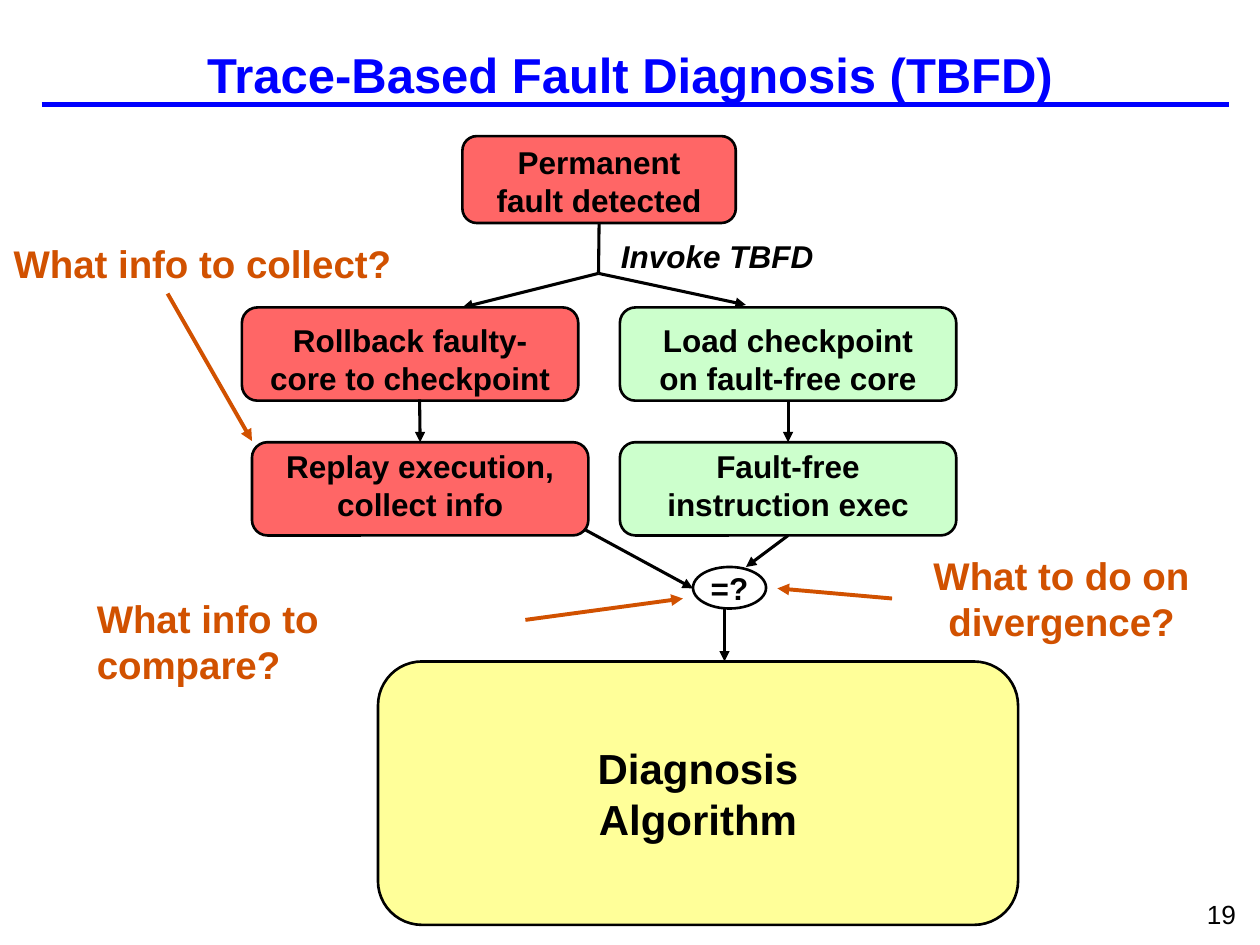
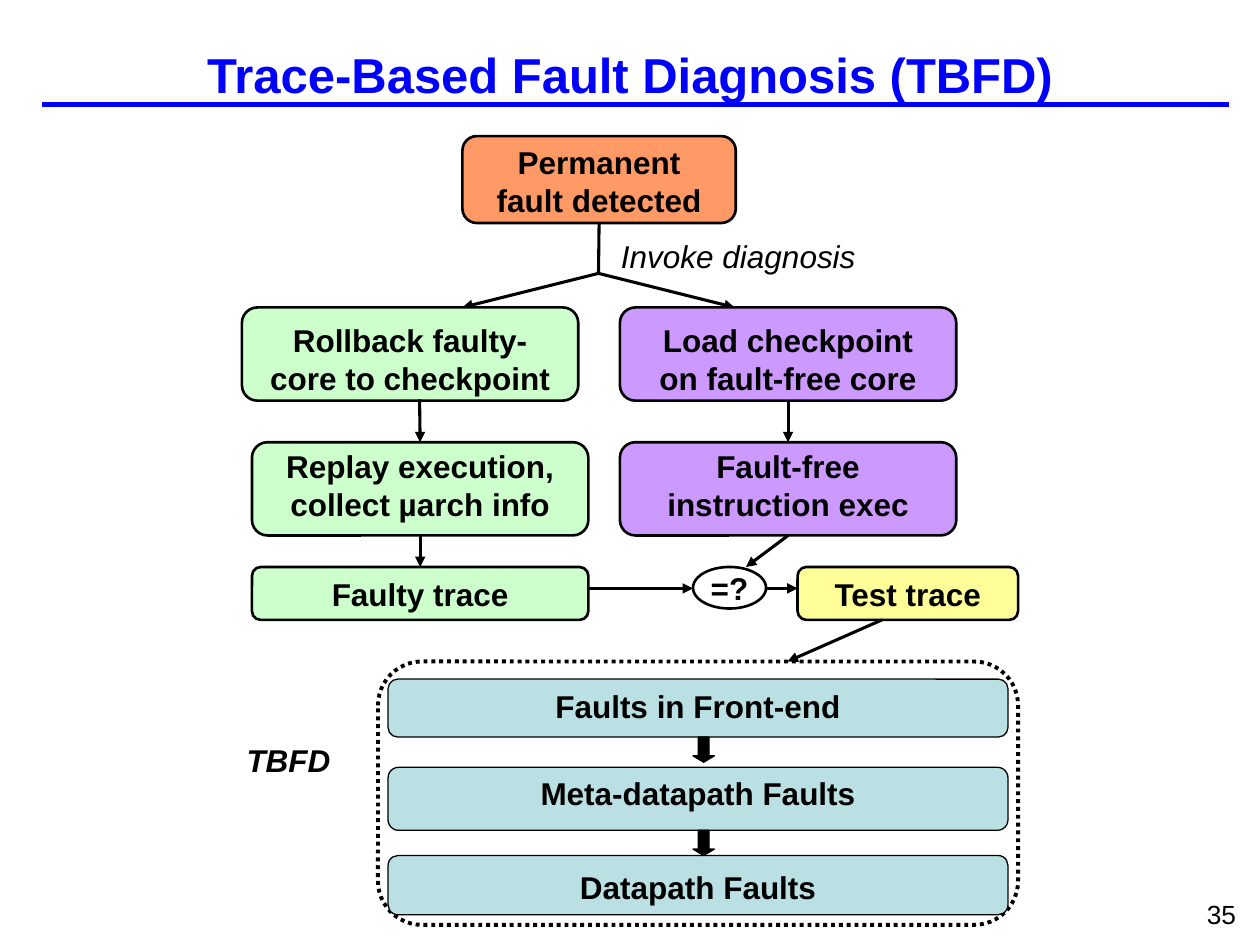
from dataclasses import dataclass

import pptx
import pptx.dml.color
import pptx.enum.dml
import pptx.enum.shapes
import pptx.enum.text
import pptx.oxml
import pptx.oxml.ns
import pptx.util
from pptx.util import Inches

SHAPE = pptx.enum.shapes.MSO_SHAPE
ALIGN = pptx.enum.text.PP_ALIGN
ANCHOR = pptx.enum.text.MSO_ANCHOR
BOTTOM, TOP = 2, 0  # connection sites of a rectangle


@dataclass(frozen=True)
class Theme:
    font: str = "Arial"
    blue: str = "0000FF"
    black: str = "000000"
    rust: str = "D15100"
    red: str = "FF6666"
    orange: str = "FF9966"
    green: str = "CCFFCC"
    purple: str = "CC99FF"
    yellow: str = "FFFF99"
    teal: str = "BBE0E3"
    title_size: float = 28
    result_size: float = 24
    question_size: float = 22
    label_size: float = 18
    number_size: float = 15
    rule_width: float = 3
    question_width: float = 2.25
    arrow_width: float = 1.75
    box_width: float = 1.5
    thin_width: float = 0.75


THEME = Theme()


# Formatting helpers

def color(code):
    return pptx.dml.color.RGBColor.from_string(code)


def format_text(frame, size, code=THEME.black, bold=True, italic=False, align=ALIGN.CENTER):
    for para in frame.paragraphs:
        para.alignment = align
        for span in para.runs:
            font = span.font
            font.name, font.size = THEME.font, pptx.util.Pt(size)
            font.bold, font.italic = bold, italic
            font.color.rgb = color(code)


def set_margins(frame, side, top, bottom):
    frame.margin_left = frame.margin_right = Inches(side)
    frame.margin_top, frame.margin_bottom = Inches(top), Inches(bottom)


def set_line(line, width, code=THEME.black):
    line.color.rgb = color(code)
    line.width = pptx.util.Pt(width)


# Kinds of element

def outline(page, kind, at, fill=None, width=THEME.box_width):
    shape = page.shapes.add_shape(kind, *map(Inches, at))
    shape.shadow.inherit = False
    if fill:
        shape.fill.solid()
        shape.fill.fore_color.rgb = color(fill)
    else:
        shape.fill.background()
    set_line(shape.line, width)
    return shape


def box(page, at, text, fill, text_top=0.0, width=THEME.box_width):
    """Rounded box whose wrapped label starts text_top below its upper edge."""
    shape = outline(page, SHAPE.ROUNDED_RECTANGLE, at, fill, width)
    frame = shape.text_frame
    frame.text = text
    frame.word_wrap = True
    frame.vertical_anchor = ANCHOR.TOP
    set_margins(frame, 0.15, text_top, 0)
    format_text(frame, THEME.label_size)
    return shape


def centred_shape(page, kind, at, text, fill=None, size=THEME.label_size):
    shape = outline(page, kind, at, fill)
    frame = shape.text_frame
    frame.text = text
    frame.word_wrap = False
    frame.vertical_anchor = ANCHOR.MIDDLE
    set_margins(frame, 0.1, 0.05, 0.05)
    format_text(frame, size)
    return shape


def label(page, at, text, size=THEME.label_size, wrap=True, **style):
    frame = page.shapes.add_textbox(*map(Inches, at)).text_frame
    frame.text = text
    frame.word_wrap = wrap
    format_text(frame, size, **style)


def link(page, start, end, width=THEME.arrow_width, code=THEME.black, arrow=True):
    """Line between points; a shape as start or end is joined at its bottom or top."""
    straight = pptx.enum.shapes.MSO_CONNECTOR.STRAIGHT
    ends = [(0, 0) if hasattr(end_part, "shape_id") else end_part for end_part in (start, end)]
    line = page.shapes.add_connector(straight, *(Inches(value) for point in ends for value in point))
    if hasattr(start, "shape_id"):
        line.begin_connect(start, BOTTOM)
    if hasattr(end, "shape_id"):
        line.end_connect(end, TOP)
    set_line(line.line, width, code)
    properties = line._element.spPr
    if arrow:
        head = pptx.oxml.parse_xml(f'<a:tailEnd {pptx.oxml.ns.nsdecls("a")} type="triangle"/>')
        line.line._get_or_add_ln().append(head)
    properties.append(pptx.oxml.parse_xml(f'<a:effectLst {pptx.oxml.ns.nsdecls("a")}/>'))


def question(page, at, text, start, end, align=ALIGN.LEFT):
    label(page, at, text, THEME.question_size, wrap=False, code=THEME.rust, align=align)
    link(page, start, end, THEME.question_width, THEME.rust)


# Parts shared by the slides

def add_page(deck, number):
    page = deck.slides.add_slide(deck.slide_layouts[5])
    link(page, (0.33, 0.83), (9.75, 0.83), THEME.rule_width, THEME.blue, arrow=False)
    label(page, (9.48, 7.08, 0.52, 0.35), number, THEME.number_size, bold=False, align=ALIGN.LEFT)
    title = page.shapes.title
    title.left, title.top, title.width, title.height = map(Inches, (0, 0.17, 10, 0.83))
    frame = title.text_frame
    frame.text = "Trace-Based Fault Diagnosis (TBFD)"
    frame.vertical_anchor = ANCHOR.MIDDLE
    set_margins(frame, 0.1, 0.05, 0.05)
    format_text(frame, THEME.title_size, THEME.blue)
    return page


def add_flow(page, start_fill, faulty_fill, good_fill, replay_text, call, call_bold, fork_end):
    """Detection, fork into faulty and fault-free cores, and comparison."""
    upper, lower, width, height = 2.44, 3.51, 2.67, 0.74
    faulty_left, good_left = 2, 4.92
    fork = (4.75, 2.17)

    detected = box(page, (3.67, 1.08, 2.17, 0.69), "Permanent fault detected", start_fill, 0.02)
    link(page, detected, fork, arrow=False)
    link(page, fork, (3.67, upper))
    link(page, fork, fork_end)
    label(page, (4.83, 1.83, 2.25, 0.4), call, bold=call_bold, italic=True, align=ALIGN.LEFT)

    box(page, (1.92, upper, width, height), "Rollback faulty-core to checkpoint", faulty_fill, 0.07)
    replay = box(page, (faulty_left, lower, width, height), replay_text, faulty_fill)
    link(page, (3.33, 3.17), replay)

    load = box(page, (good_left, upper, width, height), "Load checkpoint on fault-free core",
               good_fill, 0.07)
    execute = box(page, (good_left, lower, width, height), "Fault-free instruction exec", good_fill)
    link(page, load, execute)

    centred_shape(page, SHAPE.OVAL, (5.5, 4.5, 0.58, 0.33), "=?")
    link(page, execute, (5.92, 4.5))
    return replay


# Slides

DIAGNOSIS_AREA = (3, 5.25, 5.08, 2.09)


def add_questions_page(deck):
    page = add_page(deck, "19")
    link(page, (4.58, 4.17), (5.5, 4.67))
    add_flow(page, THEME.red, THEME.red, THEME.green, "Replay execution, collect info",
             "Invoke TBFD", True, (5.92, 2.42))

    centred_shape(page, SHAPE.ROUNDED_RECTANGLE, DIAGNOSIS_AREA, "Diagnosis\nAlgorithm",
                  THEME.yellow, THEME.result_size)
    link(page, (5.75, 4.83), (5.75, 5.25))

    question(page, (0.01, 1.86, 3.2, 0.47), "What info to collect?", (1.33, 2.33), (2, 3.5))
    question(page, (0.67, 4.67, 3.5, 0.47), "What info to compare?", (4.17, 4.92), (5.42, 4.75))
    question(page, (7.27, 4.33, 2.31, 0.84), "What to do on\ndivergence?",
             (7.08, 4.75), (6.17, 4.67), ALIGN.CENTER)


def add_stages_page(deck):
    page = add_page(deck, "35")
    replay = add_flow(page, THEME.orange, THEME.green, THEME.purple,
                      "Replay execution, collect µarch info", "Invoke diagnosis", False,
                      (5.83, 2.44))

    # Traces on both sides of the comparison
    faulty = centred_shape(page, SHAPE.ROUNDED_RECTANGLE, (2, 4.5, 2.67, 0.42),
                           "Faulty trace", THEME.green)
    centred_shape(page, SHAPE.ROUNDED_RECTANGLE, (6.33, 4.5, 1.75, 0.42),
                  "Test trace", THEME.yellow)
    link(page, replay, faulty)
    link(page, (4.67, 4.67), (5.5, 4.67))
    link(page, (6.08, 4.67), (6.33, 4.67))
    link(page, (7, 4.92), (6.25, 5.25))

    # Diagnosis stages in a dotted frame
    frame = outline(page, SHAPE.ROUNDED_RECTANGLE, DIAGNOSIS_AREA, width=2.25)
    frame.line.dash_style = pptx.enum.dml.MSO_LINE.ROUND_DOT
    label(page, (1.25, 5.83, 2.08, 0.4), "TBFD", italic=True)
    stages = [
        ("Faults in Front-end", 5.39, 0.46, 0.04),
        ("Meta-datapath Faults", 6.09, 0.5, 0.03),
        ("Datapath Faults", 6.79, 0.47, 0.08),
    ]
    for text, top, height, text_top in stages:
        box(page, (3.08, top, 4.92, height), text, THEME.teal, text_top, THEME.thin_width)
    for _, top, height, _ in stages[:-1]:
        arrow = outline(page, SHAPE.DOWN_ARROW, (5.5, top + height, 0.17, 0.2),
                        THEME.black, THEME.thin_width)
        arrow.adjustments[0], arrow.adjustments[1] = 0.5, 0.3


def main():
    deck = pptx.Presentation()
    deck.slide_width, deck.slide_height = Inches(10), Inches(7.5)
    add_questions_page(deck)
    add_stages_page(deck)
    deck.save("out.pptx")


if __name__ == "__main__":
    main()
